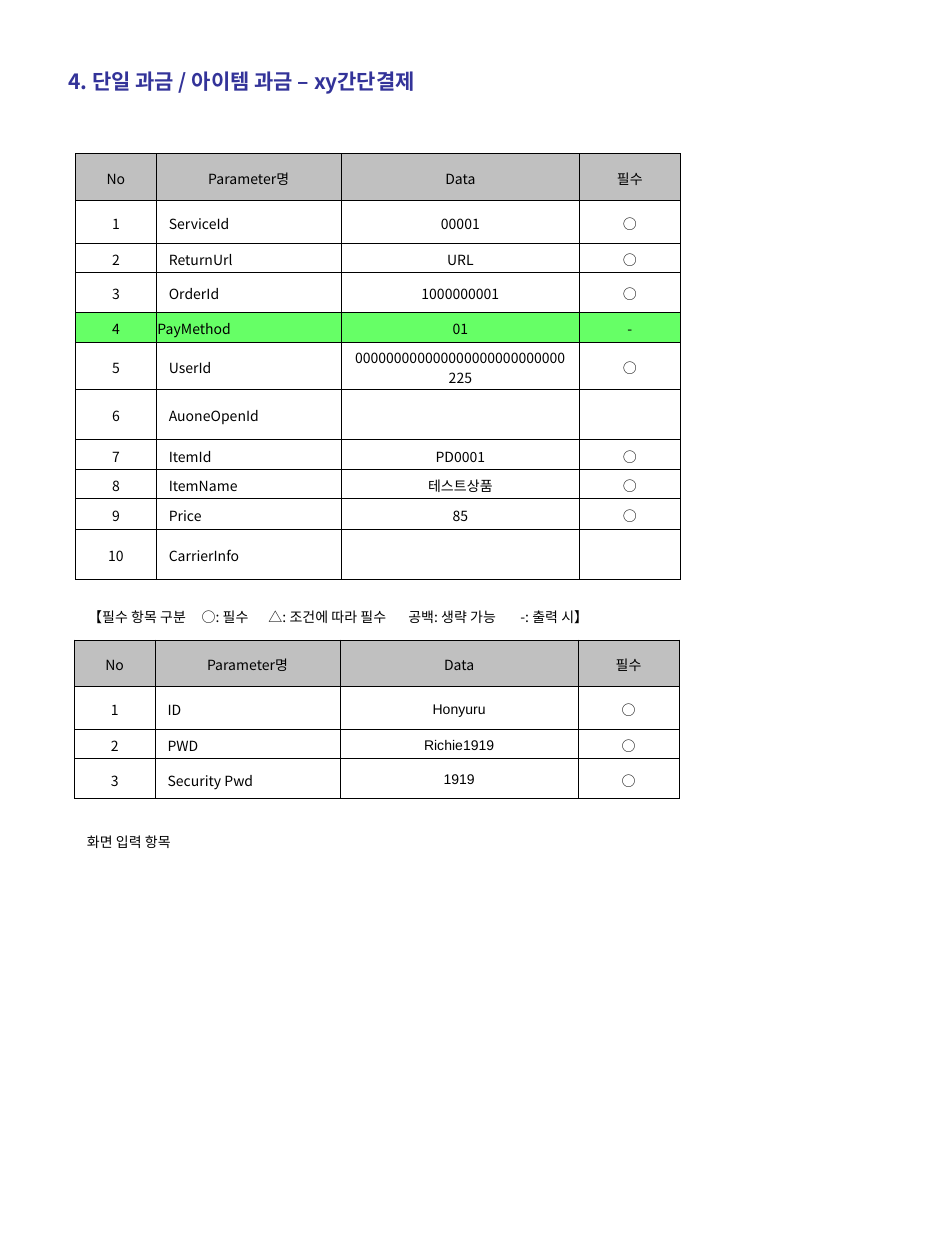
import pptx
import pptx.util
import pptx.dml.color
import pptx.enum.text
import pptx.oxml
import pptx.oxml.ns

WIDE, HIGH = 7.5, 10
SANS, ARIAL = "Noto Sans CJK KR", "Arial"
BLACK, GRAY, GREEN, NAVY = "000000", "C0C0C0", "66FF66", "333399"
TITLE = "4. 단일 과금 / 아이템 과금 – xy간단결제"
HEAD = ("No", "Parameter명", "Data", "필수")
COLS = (0.64, 1.47, 1.89, 0.8)
HEAD_ROW, FOOT_ROW = 0.37, 0.57
ALIGN = pptx.enum.text.PP_ALIGN
ANCHOR = pptx.enum.text.MSO_ANCHOR

TABLES = [
    {
        "left": 0.6, "top": 1.22, "face": SANS, "drop": 0.02,
        "rows": [
            (0.34, "ServiceId", "00001", "○"),
            (0.23, "ReturnUrl", "URL", "○"),
            (0.32, "OrderId", "1000000001", "○"),
            (0.24, "PayMethod", "01", "-"),
            (0.37, "UserId", "000000000000000000000000000225", "○"),
            (0.4, "AuoneOpenId", "", ""),
            (0.24, "ItemId", "PD0001", "○"),
            (0.23, "ItemName", "테스트상품", "○"),
            (0.24, "Price", "85", "○"),
            (0.4, "CarrierInfo", "", ""),
        ],
        "note": "【필수 항목 구분\t○: 필수\t△: 조건에 따라 필수\t공백: 생략 가능\t-: 출력 시】",
        "tabs": (0.9, 1.43, 2.54, 3.43),
    },
    {
        "left": 0.59, "top": 5.08, "face": ARIAL, "drop": 0.11,
        "rows": [
            (0.34, "ID", "Honyuru", "○"),
            (0.23, "PWD", "Richie1919", "○"),
            (0.32, "Security Pwd", "1919", "○"),
        ],
        "note": "화면 입력 항목",
        "tabs": (),
    },
]


def inch(size):
    return pptx.util.Inches(size)


def color(code):
    return pptx.dml.color.RGBColor.from_string(code)


def node(tag, attrs="", inner=""):
    space = pptx.oxml.ns.nsdecls("a")
    return pptx.oxml.parse_xml(f"<a:{tag} {space} {attrs}>{inner}</a:{tag}>")


def write(frame, text, size=8, face=SANS, ink=BLACK, bold=False, align=ALIGN.LEFT, tabs=()):
    para = frame.paragraphs[0]
    para.alignment = align
    if tabs:
        stops = "".join(f'<a:tab pos="{inch(tab)}" algn="l"/>' for tab in tabs)
        para._p.get_or_add_pPr().append(node("tabLst", inner=stops))
    run = para.add_run()
    run.text = text
    font = run.font
    font.size, font.bold = pptx.util.Pt(size), bold
    font.color.rgb, font.name = color(ink), face
    run._r.get_or_add_rPr().append(node("ea", f'typeface="{face}"'))


def style(cell, fill=None, side=0.1, drop=0.02, lines="LRTB"):
    cell.margin_left = cell.margin_right = inch(side)
    cell.margin_top, cell.margin_bottom = inch(drop), 0
    cell.vertical_anchor = ANCHOR.MIDDLE
    if fill:
        cell.fill.solid()
        cell.fill.fore_color.rgb = color(fill)
    else:
        cell.fill.background()
    prop = cell._tc.get_or_add_tcPr()
    solid = f'<a:solidFill><a:srgbClr val="{BLACK}"/></a:solidFill>'
    for spot, edge in enumerate("LRTB"):
        paint = solid if edge in lines else "<a:noFill/>"
        prop.insert(spot, node("ln" + edge, f'w="{pptx.util.Pt(0.45)}"', paint))


def grid(slide, data):
    body = [(tall, str(num), *rest) for num, (tall, *rest) in enumerate(data["rows"], 1)]
    rows = [(HEAD_ROW, *HEAD), *body]
    highs = [row[0] for row in rows] + [FOOT_ROW]
    table = slide.shapes.add_table(
        len(highs), len(COLS), inch(data["left"]), inch(data["top"]),
        inch(sum(COLS)), inch(sum(highs))).table
    table.first_row = table.horz_banding = False
    for col, wide in zip(table.columns, COLS):
        col.width = inch(wide)
    for line, tall in zip(table.rows, highs):
        line.height = inch(tall)
    for r, (tall, *texts) in enumerate(rows):
        mark = "PayMethod" in texts
        fill = GREEN if mark else GRAY if r == 0 else None
        for c, text in enumerate(texts):
            cell = table.cell(r, c)
            style(cell, fill, side=0.01 if mark else 0.1)
            if text:
                write(cell.text_frame, text,
                      face=data["face"] if r and c == 2 else SANS,
                      align=ALIGN.LEFT if r and c == 1 else ALIGN.CENTER)
    last = len(rows)
    foot = table.cell(last, 0)
    foot.merge(table.cell(last, len(COLS) - 1))
    for c in range(len(COLS)):
        style(table.cell(last, c), drop=data["drop"], lines="T")
    write(foot.text_frame, data["note"], tabs=data["tabs"])


def main():
    """Build the payment parameter slide."""
    deck = pptx.Presentation()
    deck.slide_width, deck.slide_height = inch(WIDE), inch(HIGH)
    slide = deck.slides.add_slide(deck.slide_layouts[5])
    title = slide.shapes.title
    title.left, title.top = inch(0.44), inch(0.49)
    title.width, title.height = inch(5.92), inch(0.5)
    title.text_frame.vertical_anchor = ANCHOR.TOP
    write(title.text_frame, TITLE, size=12, ink=NAVY, bold=True)
    for data in TABLES:
        grid(slide, data)
    deck.save("out.pptx")


if __name__ == "__main__":
    main()
